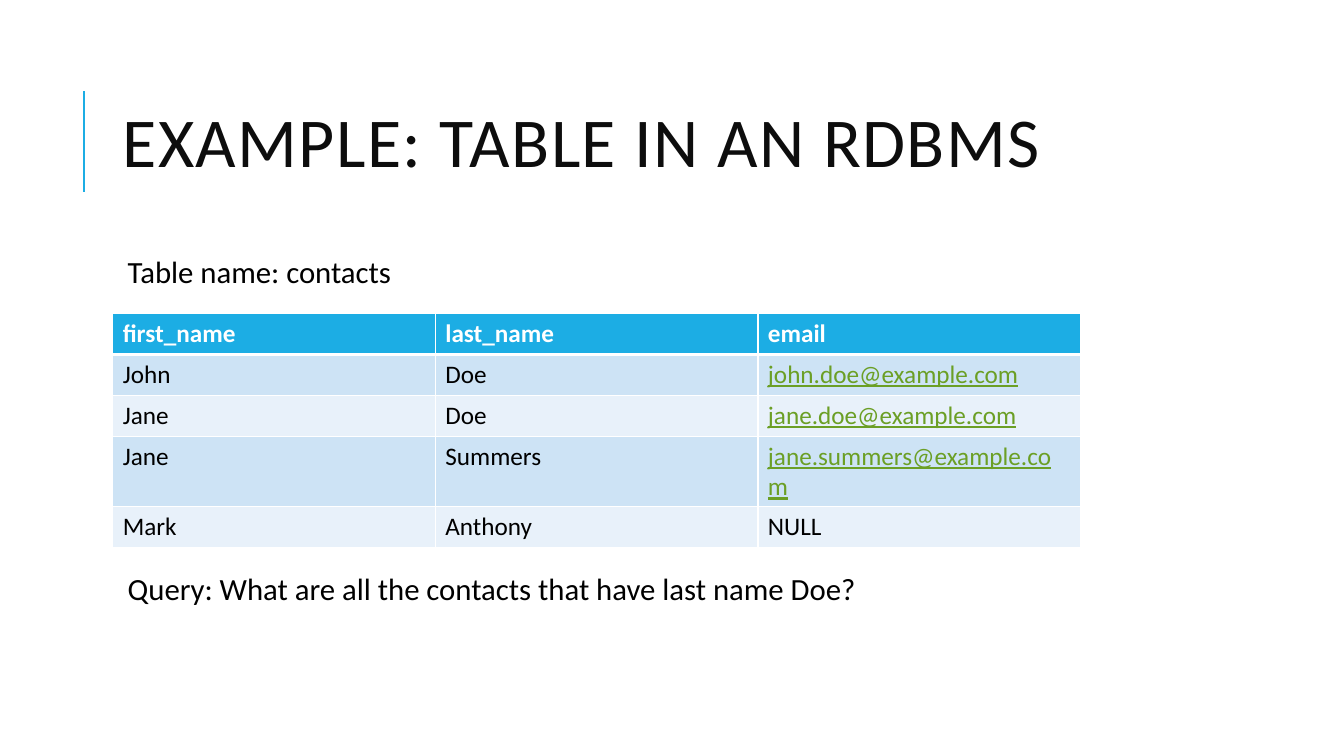
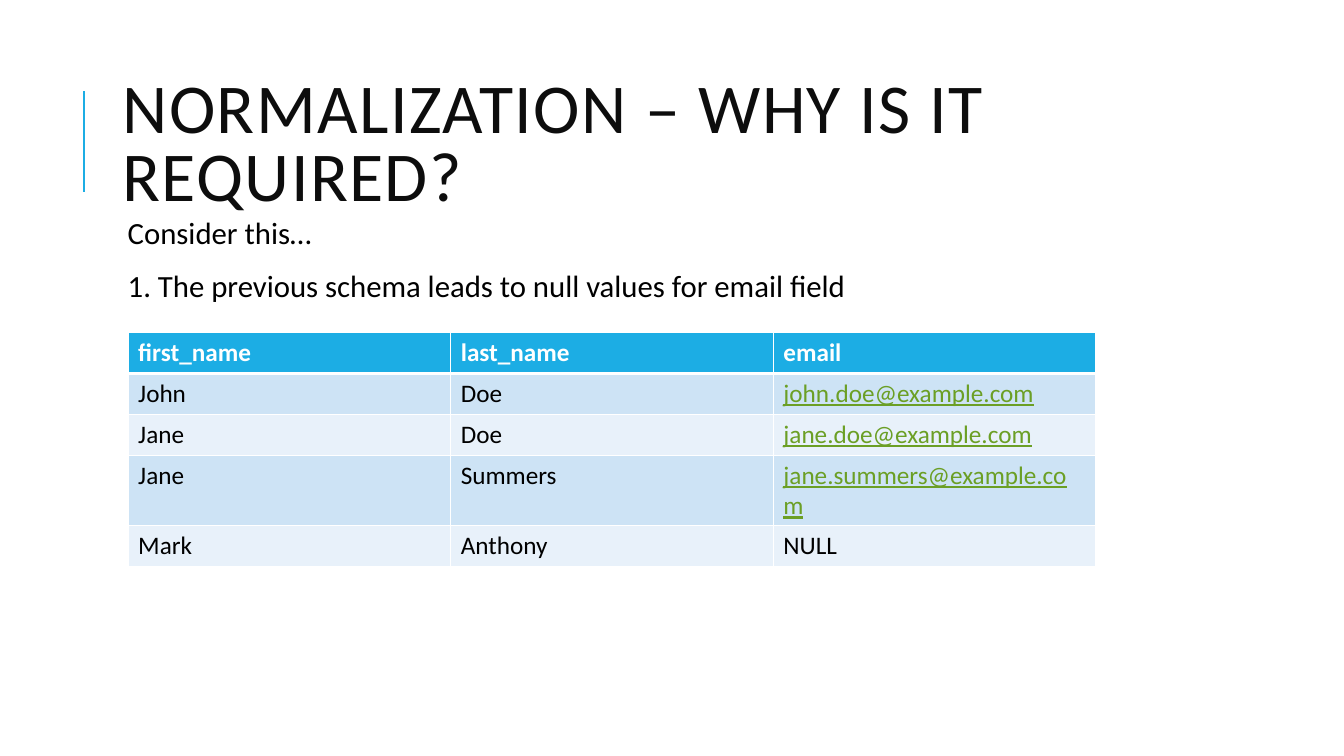
"""Build two slides on a contacts table and the need for normalization."""
import pptx
import pptx.dml.color
import pptx.enum.shapes
import pptx.enum.text
import pptx.oxml
import pptx.oxml.ns
import pptx.util

Cm = pptx.util.Cm
Pt = pptx.util.Pt

FONT = "Calibri"
ACCENT = "1CADE4"
WHITE = "FFFFFF"
BLACK = "000000"
TITLE_COLOR = "0D0D0D"
EMAIL_COLOR = "6B9F25"
BAND_COLORS = ("CDE3F5", "E8F1FA")

LEFT, WIDTH = 2.84, 27
COLUMN_WIDTH, ROW_HEIGHT = 8.13, 1.03

CONTACTS = [
    ("first_name", "last_name", "email"),
    ("John", "Doe", "john.doe@example.com"),
    ("Jane", "Doe", "jane.doe@example.com"),
    ("Jane", "Summers", "jane.summers@example.com"),
    ("Mark", "Anthony", "NULL"),
]

SLIDES = [
    {
        "title": "EXAMPLE: TABLE IN AN RDBMS",
        "texts": [
            (6.35, 1.2, ["Table name: contacts"]),
            (14.34, 1.2, ["Query: What are all the contacts that have last name Doe?"]),
        ],
        "table": (2.84, 7.9),
    },
    {
        "title": "NORMALIZATION – WHY IS IT REQUIRED?",
        "texts": [
            (5.36, 2.6, [
                "Consider this…",
                "1. The previous schema leads to null values for email field",
            ]),
        ],
        "table": (3.23, 8.38),
    },
]


def rgb(color):
    return pptx.dml.color.RGBColor.from_string(color)


def set_font(paragraph, size, color, bold=False, underline=False):
    font = paragraph.font
    font.name = FONT
    font.size = Pt(size)
    font.color.rgb = rgb(color)
    font.bold = bold
    font.underline = underline


def add_text_frame(slide, top, height):
    box = slide.shapes.add_textbox(Cm(LEFT), Cm(top), Cm(WIDTH), Cm(height))
    box.text_frame.word_wrap = True
    return box.text_frame


def add_title(slide, title):
    line = slide.shapes.add_connector(
        pptx.enum.shapes.MSO_CONNECTOR.STRAIGHT, Cm(2.11), Cm(4.83), Cm(2.11), Cm(2.29))
    line.line.color.rgb = rgb(ACCENT)
    line.line.width = Pt(1.5)
    properties = line._element.spPr
    properties.append(properties.makeelement(pptx.oxml.ns.qn("a:effectLst"), {}))

    frame = add_text_frame(slide, 1.63, 4.17)
    frame.vertical_anchor = pptx.enum.text.MSO_ANCHOR.MIDDLE
    paragraph = frame.paragraphs[0]
    run = paragraph.add_run()
    run.text = title
    run._r.get_or_add_rPr().set("spc", "100")
    paragraph.line_spacing = 0.8
    set_font(paragraph, 50, TITLE_COLOR)


def add_body(slide, top, height, lines):
    frame = add_text_frame(slide, top, height)
    frame.margin_left = Cm(0.38)
    frame.margin_right = frame.margin_top = frame.margin_bottom = Cm(0.13)
    for index, text in enumerate(lines):
        paragraph = frame.add_paragraph() if index else frame.paragraphs[0]
        paragraph.text = text
        paragraph.line_spacing = 0.9
        paragraph.space_before = Pt(12 if index else 0)
        paragraph.space_after = Pt(2)
        set_font(paragraph, 22, BLACK)


def set_borders(cell, widths):
    properties = cell._tc.get_or_add_tcPr()
    for position, (side, width) in enumerate(widths.items()):
        border = pptx.oxml.parse_xml(
            f'<a:ln{side} {pptx.oxml.ns.nsdecls("a")} w="{Pt(width)}"><a:solidFill>'
            f'<a:srgbClr val="{WHITE}"/></a:solidFill></a:ln{side}>')
        properties.insert(position, border)


def add_table(slide, left, top, rows):
    row_count, column_count = len(rows), len(rows[0])
    table = slide.shapes.add_table(
        row_count, column_count, Cm(left), Cm(top),
        Cm(COLUMN_WIDTH * column_count), Cm(ROW_HEIGHT * row_count)).table
    for column in table.columns:
        column.width = Cm(COLUMN_WIDTH)
    for row_index, values in enumerate(rows):
        table.rows[row_index].height = Cm(ROW_HEIGHT)
        header = row_index == 0
        fill = ACCENT if header else BAND_COLORS[(row_index - 1) % 2]
        widths = {"L": 1, "R": 1, "T": 3 if row_index == 1 else 1, "B": 3 if header else 1}
        for column_index, value in enumerate(values):
            cell = table.cell(row_index, column_index)
            cell.text = value
            cell.fill.solid()
            cell.fill.fore_color.rgb = rgb(fill)
            set_borders(cell, widths)
            email = "@" in value
            color = WHITE if header else EMAIL_COLOR if email else BLACK
            set_font(cell.text_frame.paragraphs[0], 18, color, header, email)


def main():
    presentation = pptx.Presentation()
    presentation.slide_width = Cm(33.87)
    presentation.slide_height = Cm(19.05)
    for content in SLIDES:
        slide = presentation.slides.add_slide(presentation.slide_layouts[6])
        add_title(slide, content["title"])
        for top, height, lines in content["texts"]:
            add_body(slide, top, height, lines)
        add_table(slide, *content["table"], CONTACTS)
    presentation.save("out.pptx")


if __name__ == "__main__":
    main()
